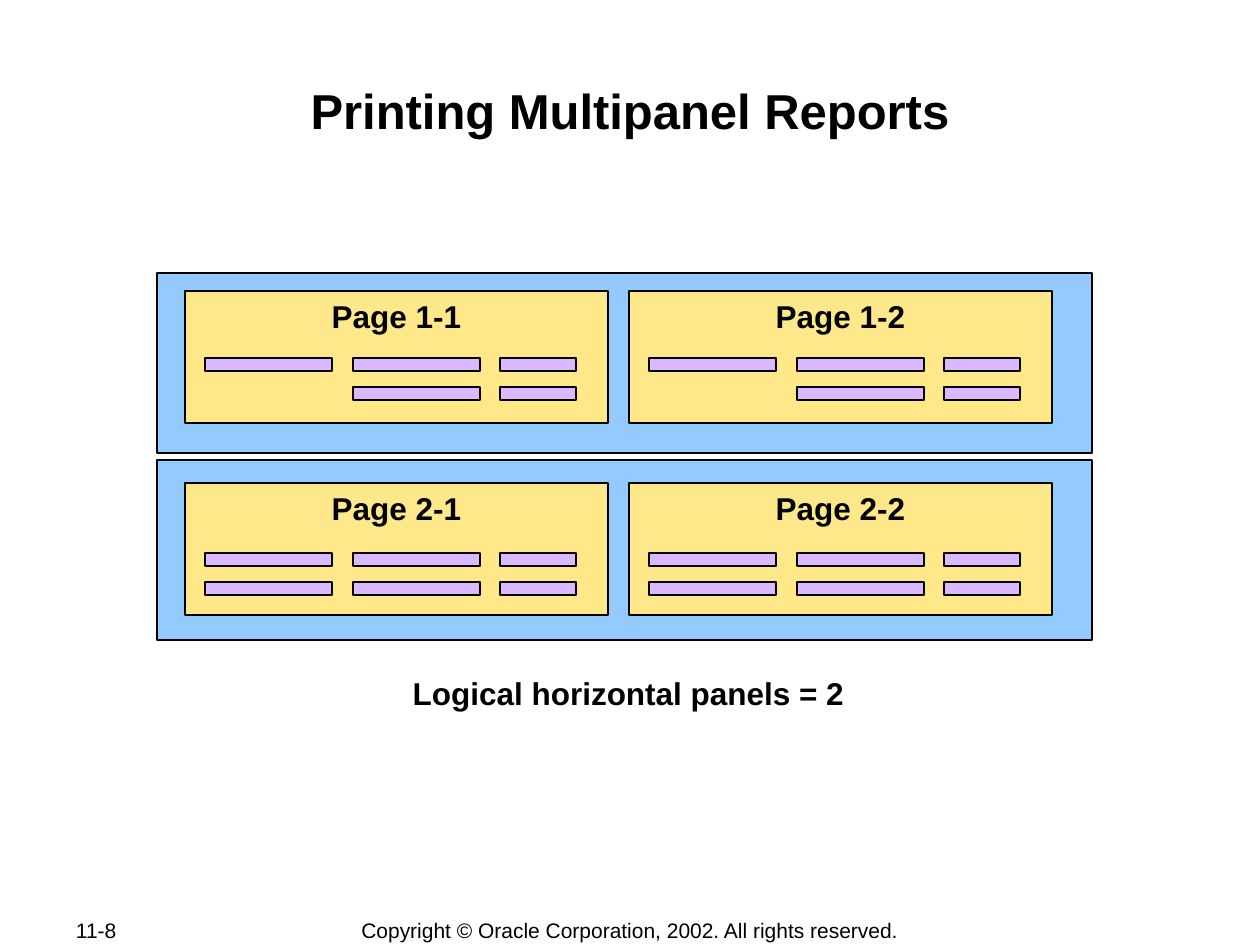
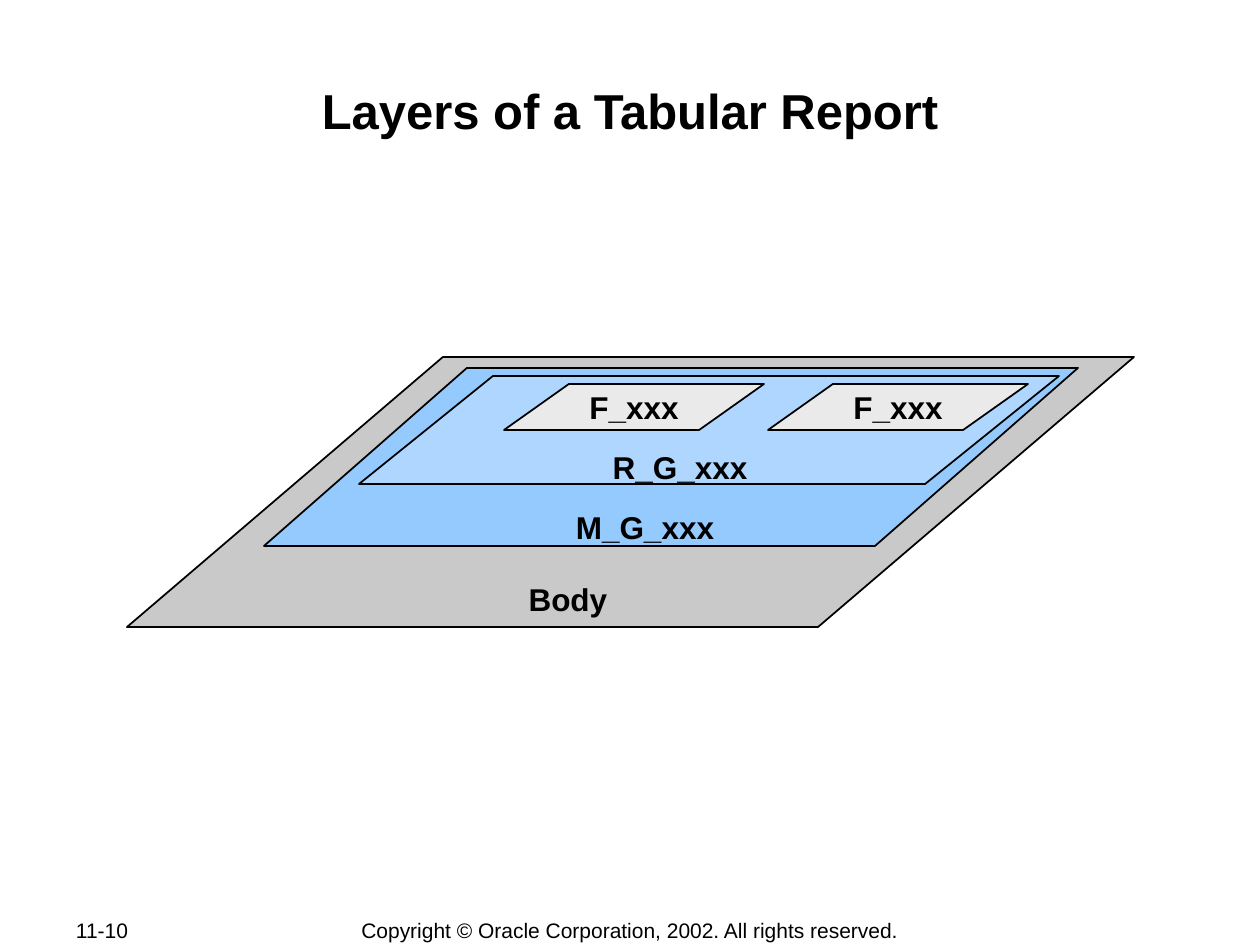
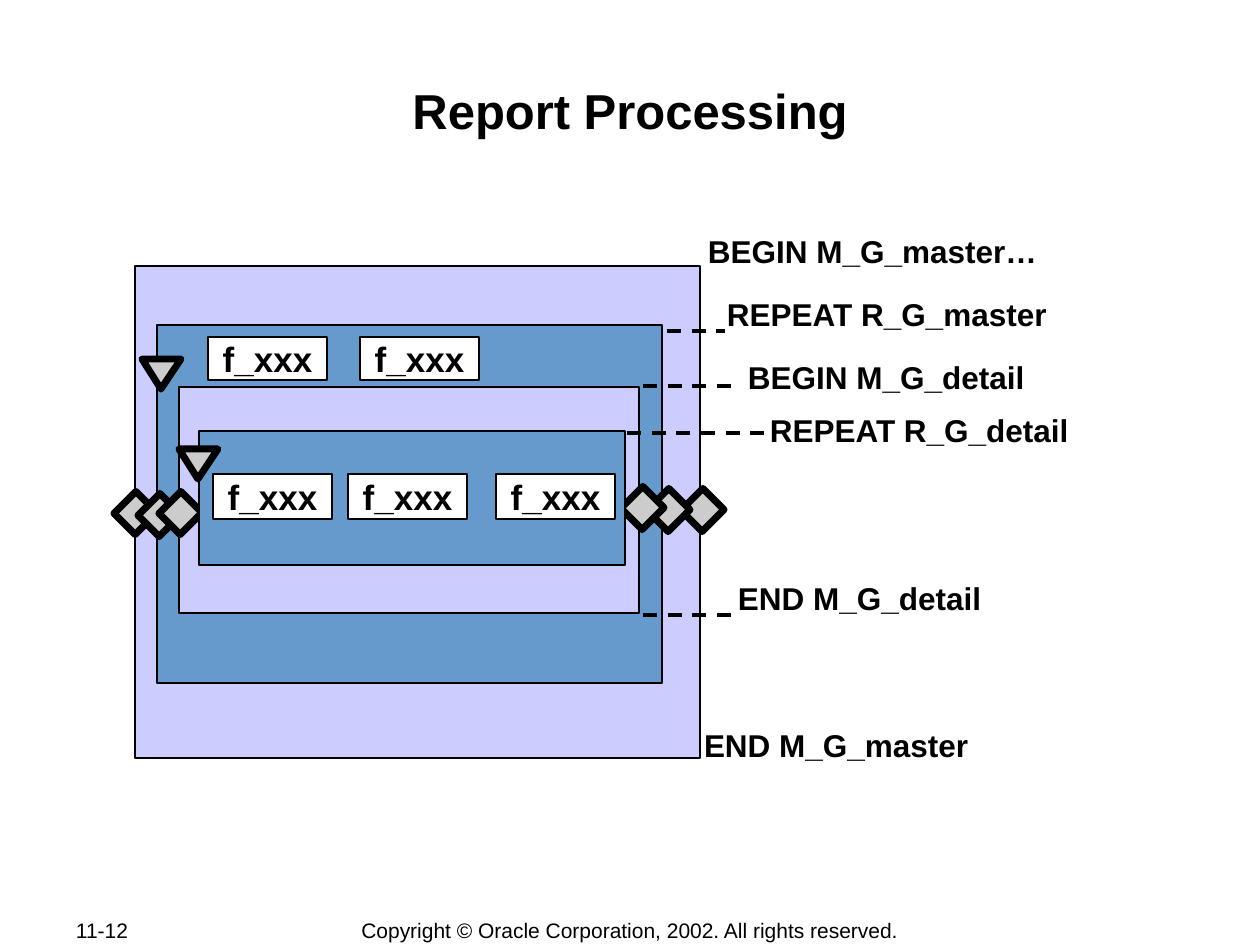
import pptx
import pptx.util
import pptx.dml.color
import pptx.enum.dml
import pptx.enum.shapes
import pptx.enum.text
import pptx.oxml

RGBColor = pptx.dml.color.RGBColor
Shape = pptx.enum.shapes.MSO_SHAPE
Align = pptx.enum.text.PP_ALIGN
Anchor = pptx.enum.text.MSO_ANCHOR

SCALE = 914400 / 126
FONT = "Arial"
BLACK = RGBColor(0x00, 0x00, 0x00)
WHITE = RGBColor(0xFF, 0xFF, 0xFF)
SKY = RGBColor(0x95, 0xCA, 0xFF)
PALE_SKY = RGBColor(0xAE, 0xD6, 0xFF)
YELLOW = RGBColor(0xFF, 0xE8, 0x8A)
VIOLET = RGBColor(0xDB, 0xB8, 0xFF)
LAVENDER = RGBColor(0xCC, 0xCC, 0xFF)
STEEL = RGBColor(0x66, 0x99, 0xCC)
BODY_GREY = RGBColor(0xC9, 0xC9, 0xC9)
FIELD_GREY = RGBColor(0xEA, 0xEA, 0xEA)
MARK_GREY = RGBColor(0xCC, 0xCC, 0xCC)

COPYRIGHT = "Copyright © Oracle Corporation, 2002. All rights reserved."
TEXT_INSETS = (13, 6)
TIGHT_INSETS = (1, 1)

PANEL_CAPTION = "Logical horizontal panels = 2"
PANEL_LEFT, PANEL_SIZE = 157, (935, 180)
PAGE_LEFTS, PAGE_SIZE = (185, 629), (423, 132)
BAR_COLUMNS = [(20, 127), (168, 127), (315, 76)]
BAR_HEIGHT, BAR_PITCH = 13, 29
PANEL_ROWS = [
    {"top": 273, "page_top": 291, "bar_top": 358, "bars": (1, 2, 2),
     "pages": ("Page 1-1", "Page 1-2")},
    {"top": 460, "page_top": 483, "bar_top": 553, "bars": (2, 2, 2),
     "pages": ("Page 2-1", "Page 2-2")},
]

LAYERS = [
    ("Body", (127, 357, 1007, 270), 1.17, BODY_GREY, (505, 567, 126, 63)),
    ("M_G_xxx", (264, 368, 814, 178), 1.14, SKY, (539, 495, 212, 63)),
    ("R_G_xxx", (359, 376, 700, 108), 1.24, PALE_SKY, (576, 435, 208, 63)),
]
LAYER_FIELD = "F_xxx"
LAYER_FIELD_LEFTS = (504, 768)

MASTER_FRAMES = [
    ((135, 266, 565, 492), LAVENDER),
    ((157, 325, 505, 358), STEEL),
    ((179, 387, 460, 226), LAVENDER),
]
DETAIL_FRAME = (199, 431, 426, 134)
DIAMONDS = [(120, 498), (144, 500), (165, 498), (687, 495), (653, 495), (627, 493)]
MASTER_TRIANGLE, DETAIL_TRIANGLE = (142, 359), (179, 449)
REPORT_FIELD = "f_xxx"
FIELD_ROWS = [(337, 43, (208, 360)), (474, 45, (213, 348, 496))]
LEADERS = [(667, 725, 331), (643, 737, 386), (627, 775, 433), (643, 737, 615)]
STEPS = [
    ("BEGIN M_G_master…", 707, 231, 333),
    ("REPEAT R_G_master", 726, 294, 334),
    ("BEGIN M_G_detail", 747, 357, 289),
    ("REPEAT R_G_detail", 769, 410, 314),
    ("END M_G_detail", 737, 578, 256),
    ("END M_G_master", 703, 725, 268),
]


def px(value):
    return pptx.util.Emu(round(value * SCALE))


def write(shape, text, size=18, bold=True, align=Align.CENTER, anchor=Anchor.MIDDLE,
          insets=TEXT_INSETS, wrap=False):
    frame = shape.text_frame
    frame.text = text
    frame.word_wrap = wrap
    frame.auto_size = pptx.enum.text.MSO_AUTO_SIZE.NONE
    frame.vertical_anchor = anchor
    frame.margin_left = frame.margin_right = px(insets[0])
    frame.margin_top = frame.margin_bottom = px(insets[1])
    paragraph = frame.paragraphs[0]
    paragraph.alignment = align
    paragraph.font.name = FONT
    paragraph.font.size = pptx.util.Pt(size)
    paragraph.font.bold = bold
    paragraph.font.color.rgb = BLACK
    return paragraph


def add_label(slide, box, text, **style):
    return write(slide.shapes.add_textbox(*map(px, box)), text, **style)


def paint(shape, fill, width=1):
    shape.shadow.inherit = False
    shape.fill.solid()
    shape.fill.fore_color.rgb = fill
    shape.line.color.rgb = BLACK
    shape.line.width = pptx.util.Pt(width)
    return shape


def add_box(slide, box, fill, kind=Shape.RECTANGLE, width=1):
    return paint(slide.shapes.add_shape(kind, *map(px, box)), fill, width)


def add_parallelogram(slide, box, slant, fill):
    layer = add_box(slide, box, fill, Shape.PARALLELOGRAM)
    layer.adjustments[0] = slant
    return layer


def add_triangle(slide, left, top):
    outline = slide.shapes.build_freeform(left, top, scale=SCALE)
    outline.add_line_segments([(left + 39, top), (left + 19, top + 30)], close=True)
    paint(outline.convert_to_shape(), MARK_GREY, 4)


def add_leader(slide, start, end, y):
    leader = slide.shapes.add_connector(
        pptx.enum.shapes.MSO_CONNECTOR.STRAIGHT, px(start), px(y), px(end), px(y))
    leader.line.color.rgb = BLACK
    leader.line.width = pptx.util.Pt(2)
    leader.line.dash_style = pptx.enum.dml.MSO_LINE.DASH
    leader._element.spPr.append(pptx.oxml.parse_xml(
        '<a:effectLst xmlns:a="http://schemas.openxmlformats.org/drawingml/2006/main"/>'))


def add_slide(deck, title, number):
    slide = deck.slides.add_slide(deck.slide_layouts[5])
    heading = slide.shapes.title
    heading.left, heading.top, heading.width, heading.height = map(px, (126, 73, 1008, 121))
    write(heading, title, size=28, anchor=Anchor.TOP, insets=(1, 7), wrap=True)
    add_label(slide, (63, 917, 134, 26), number, size=12, bold=False, align=Align.LEFT)
    add_label(slide, (347, 917, 566, 26), COPYRIGHT, size=12, bold=False)
    return slide


def build_multipanel(deck):
    slide = add_slide(deck, "Printing Multipanel Reports", "11-8")
    caption = add_label(slide, (156, 674, 945, 45), PANEL_CAPTION, anchor=Anchor.TOP, wrap=True)
    caption.line_spacing = 0.85
    for row in PANEL_ROWS:
        add_box(slide, (PANEL_LEFT, row["top"], *PANEL_SIZE), SKY)
        for page_left, page_name in zip(PAGE_LEFTS, row["pages"]):
            page = add_box(slide, (page_left, row["page_top"], *PAGE_SIZE), YELLOW)
            write(page, page_name, anchor=Anchor.TOP)
            for (offset, width), count in zip(BAR_COLUMNS, row["bars"]):
                for line in range(2 - count, 2) if count == 2 else (0,) if offset == 20 else ():
                    bar_top = row["bar_top"] + line * BAR_PITCH
                    add_box(slide, (page_left + offset, bar_top, width, BAR_HEIGHT), VIOLET)


def build_layers(deck):
    slide = add_slide(deck, "Layers of a Tabular Report", "11-10")
    for name, box, slant, fill, label_box in LAYERS:
        add_parallelogram(slide, box, slant, fill)
        add_label(slide, label_box, name)
    for left in LAYER_FIELD_LEFTS:
        field = add_parallelogram(slide, (left, 384, 260, 46), 1.41, FIELD_GREY)
        write(field, LAYER_FIELD)


def build_processing(deck):
    slide = add_slide(deck, "Report Processing", "11-12")
    for box, fill in MASTER_FRAMES:
        add_box(slide, box, fill)
    add_triangle(slide, *MASTER_TRIANGLE)
    for left, top in DIAMONDS:
        add_box(slide, (left, top, 31, 30), MARK_GREY, width=4).rotation = 315
    for leader in LEADERS:
        add_leader(slide, *leader)
    add_box(slide, DETAIL_FRAME, STEEL)
    add_triangle(slide, *DETAIL_TRIANGLE)
    for top, height, lefts in FIELD_ROWS:
        for left in lefts:
            write(add_box(slide, (left, top, 119, height), WHITE), REPORT_FIELD, size=20)
    for text, left, top, width in STEPS:
        add_label(slide, (left, top, width, 42), text, align=Align.LEFT,
                  anchor=Anchor.TOP, insets=TIGHT_INSETS)


def main():
    deck = pptx.Presentation()
    deck.slide_width, deck.slide_height = px(1260), px(945)
    build_multipanel(deck)
    build_layers(deck)
    build_processing(deck)
    deck.save("out.pptx")


if __name__ == "__main__":
    main()
